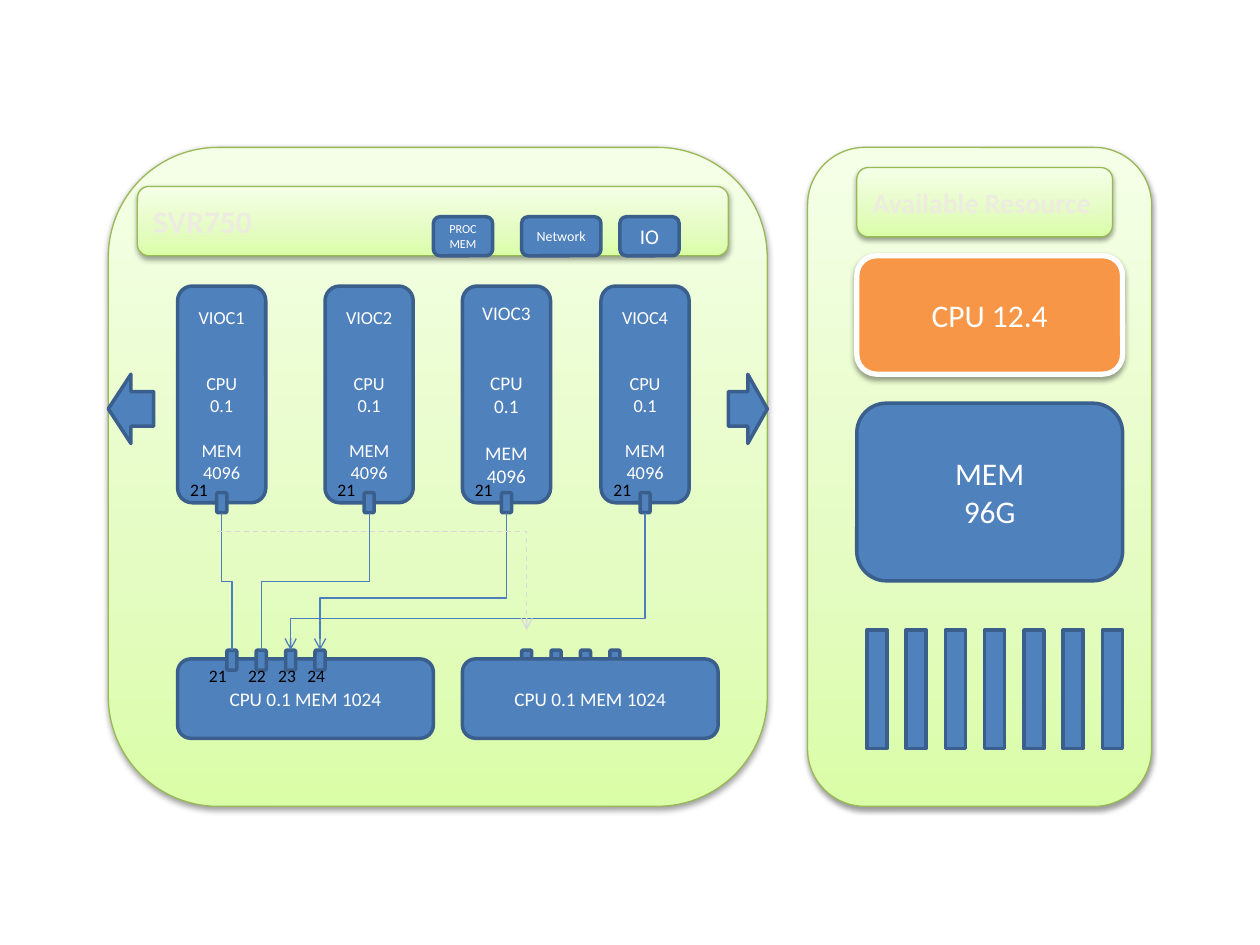
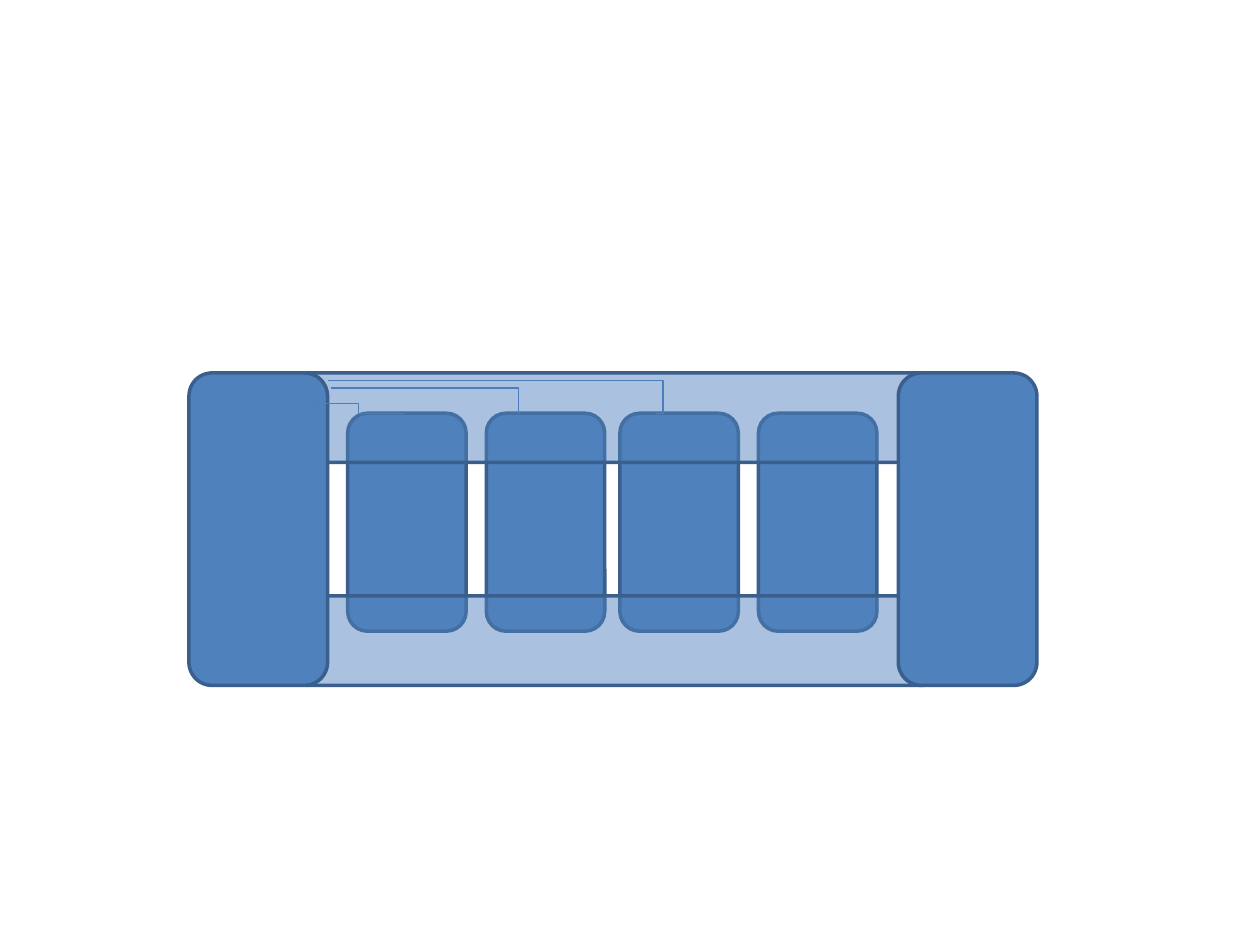
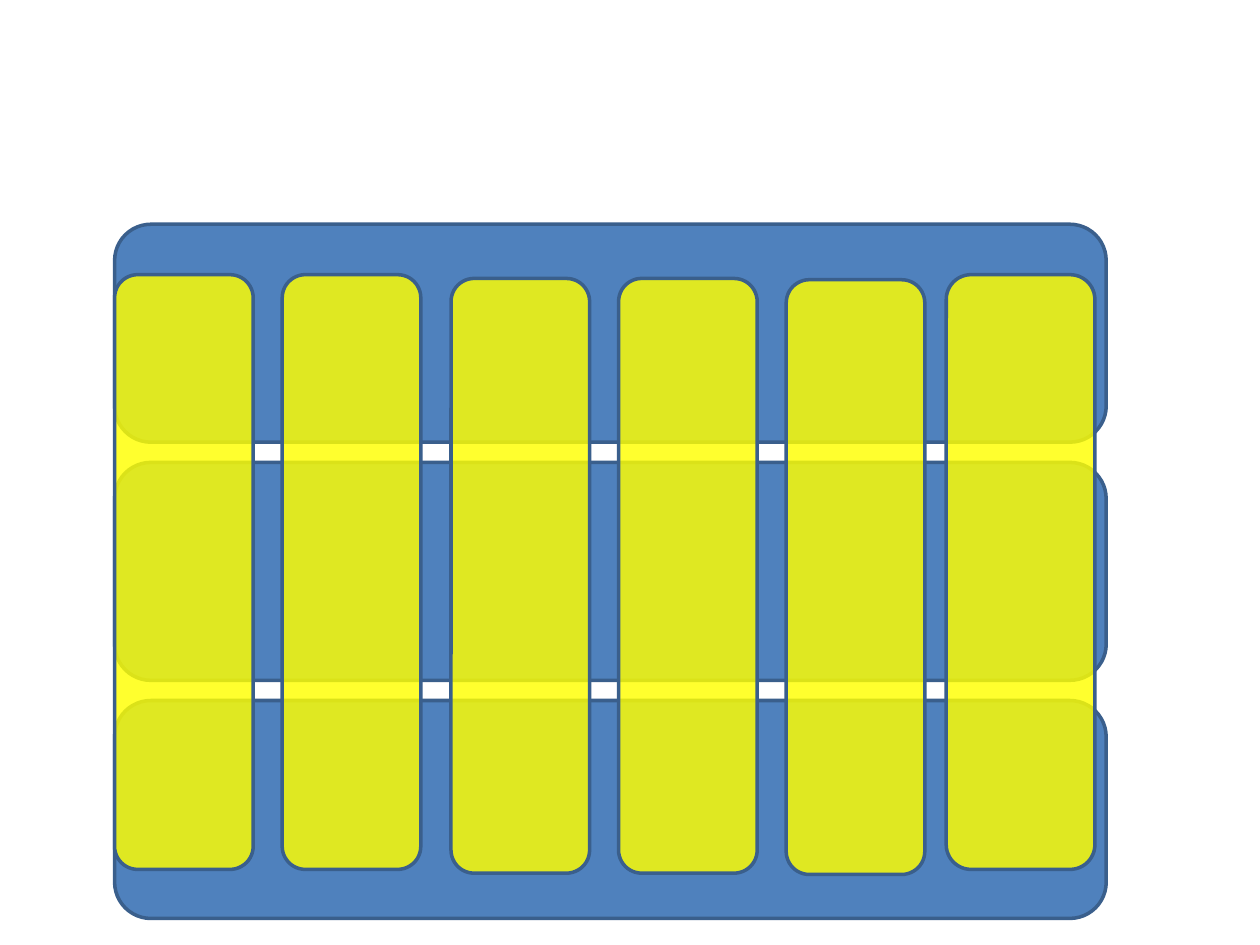
import copy

import lxml.etree
import pptx
import pptx.dml.color
import pptx.enum.dml
import pptx.enum.shapes
import pptx.enum.text
import pptx.oxml.ns
import pptx.util

Inches = pptx.util.Inches
Pt = pptx.util.Pt
RGBColor = pptx.dml.color.RGBColor
SHAPE = pptx.enum.shapes.MSO_SHAPE
ALIGN = pptx.enum.text.PP_ALIGN
qn = pptx.oxml.ns.qn

FONT = "Calibri"
BLUE = RGBColor(0x4F, 0x81, 0xBD)
DARK_BLUE = RGBColor(0x3A, 0x5F, 0x8C)
WIRE_BLUE = RGBColor(0x4B, 0x7E, 0xBC)
GREEN_LINE = RGBColor(0x98, 0xB9, 0x55)
ORANGE = RGBColor(0xF7, 0x96, 0x46)
YELLOW = RGBColor(0xFF, 0xFF, 0x00)
WHITE = RGBColor(0xFF, 0xFF, 0xFF)
BLACK = RGBColor(0x00, 0x00, 0x00)
CREAM = RGBColor(0xEE, 0xEC, 0xE1)
GRAY = RGBColor(0xD9, 0xD9, 0xD9)
GREEN_STOPS = [
    (0, RGBColor(0xDA, 0xFD, 0xA7)),
    (0.35, RGBColor(0xE4, 0xFC, 0xC2)),
    (1, RGBColor(0xF5, 0xFF, 0xE7)),
]

SERVER_PANEL = (0.86, 1.17, 5.23, 5.23)
SERVER_TITLE = ("SVR750", 18, (1.09, 1.48, 4.69, 0.55))
RESOURCE_PANEL = (6.41, 1.17, 2.73, 5.23)
RESOURCE_TITLE = ("Available Resource", 16, (6.8, 1.33, 2.03, 0.55))
CLIENTS = [
    ("VIOC1", 1.41, 10.5, ["CPU 0.1"]),
    ("VIOC2", 2.58, 10.5, ["CPU", "0.1"]),
    ("VIOC3", 3.67, 11, ["CPU", "0.1"]),
    ("VIOC4", 4.77, 10.5, ["CPU", "0.1"]),
]
CLIENT_MEMORY = "MEM 4096"
CLIENT_PORT = "21"
LINE_HEIGHT = 1.22
POOLS = [
    ("PROC MEM", 7, 3.44, 0.47),
    ("Network", 8, 4.14, 0.63),
    ("IO", 12, 4.92, 0.47),
]
HOST_TEXT = "CPU 0.1 MEM 1024"
HOST_LEFTS = [1.41, 3.67]
HOST_PORT_STARTS = [1.8, 4.14]
HOST_PORT_LABELS = [("21", 1.56), ("22", 1.87), ("23", 2.11), ("24", 2.34)]
PORT_SIZE = (0.08, 0.16)
PORT_STEP = 0.7 / 3
PORT_COUNT = 4
CLIENT_PORT_TOP = 3.91
HOST_PORT_TOP = 5.16
WIRES = [(0, 0, 0.5, False), (1, 1, 0.5, False), (2, 3, 0.62, True), (3, 2, 0.77, True)]
BAR_COUNT = 7
BAR_STEP = 1.87 / 6

INNER_LEFTS = [2.76, 3.86, 4.92, 6.02]
RAIL_TOPS = [2.96, 4.73]
END_LEFTS = [7.13, 1.5]
INNER_WIRES = [
    ((3.21, 3.28), (2.48, 3.2), 0.5),
    ((4.13, 3.28), (2.63, 3.08), 0.01),
    ((5.21, 3.28), (2.6, 3.02), -0.02),
]

ROW_COUNT = 3
ROW_TOP, ROW_STEP = 1.78, 1.89
COLUMNS = [
    (0.91, 2.18, 1.1),
    (7.51, 2.18, 1.18),
    (2.24, 2.18, 1.1),
    (3.58, 2.21, 1.1),
    (4.91, 2.21, 1.1),
    (6.24, 2.22, 1.1),
]


def add_child(parent, tag, **attributes):
    return lxml.etree.SubElement(parent, qn(tag), attributes)


def format_runs(paragraph, size, color, bold=False):
    for run in paragraph.runs:
        run.font.name = FONT
        run.font.size = Pt(size)
        run.font.color.rgb = color
        run.font.bold = bold


def add_box(slide, place, kind=SHAPE.ROUNDED_RECTANGLE, fill=BLUE, alpha=None,
            line=DARK_BLUE, width=2):
    shape = slide.shapes.add_shape(kind, *map(Inches, place))
    shape.shadow.inherit = False
    shape.fill.solid()
    shape.fill.fore_color.rgb = fill
    if alpha:
        color = shape._element.spPr.find(qn("a:solidFill"))[0]
        add_child(color, "a:alpha", val=str(alpha * 1000))
    shape.line.color.rgb = line
    shape.line.width = Pt(width)
    return shape


def add_text(shape, lines, size, color=WHITE, align=ALIGN.CENTER, bold=False):
    frame = shape.text_frame
    frame.word_wrap = True
    frame.text = "\n".join(lines)
    for paragraph in frame.paragraphs:
        paragraph.alignment = align
        format_runs(paragraph, size, color, bold)


def add_shadow(shape):
    effects = shape._element.spPr.find(qn("a:effectLst"))
    shadow = add_child(effects, "a:outerShdw", blurRad="40000", dist="20000",
                       dir="5400000", rotWithShape="0")
    color = add_child(shadow, "a:srgbClr", val="000000")
    add_child(color, "a:alpha", val="38000")


def add_green_panel(slide, place):
    shape = add_box(slide, place, line=GREEN_LINE, width=0.75)
    shape.fill.gradient()
    shape.fill.gradient_angle = 90
    stops = shape._element.spPr.find(qn("a:gradFill")).find(qn("a:gsLst"))
    stops.append(copy.deepcopy(stops[0]))
    for stop, (position, color) in zip(shape.fill.gradient_stops, GREEN_STOPS):
        stop.position = position
        stop.color.rgb = color
    add_shadow(shape)
    return shape


def add_title_panel(slide, title, size, place):
    add_text(add_green_panel(slide, place), [title], size, CREAM, ALIGN.LEFT, True)


def add_label(slide, text, left, top):
    label = slide.shapes.add_textbox(*map(Inches, (left, top, 0.39, 0.27)))
    add_text(label, [text], 10, BLACK, ALIGN.LEFT)


def add_elbow(slide, start, end, bend=None, color=WIRE_BLUE, arrow=False):
    connector = slide.shapes.add_connector(
        pptx.enum.shapes.MSO_CONNECTOR.ELBOW, *map(Inches, start + end))
    connector.line.color.rgb = color
    connector.line.width = Pt(0.75)
    properties = connector._element.spPr
    if arrow:
        add_child(connector.line._get_or_add_ln(), "a:tailEnd", type="arrow")
    if bend is not None:
        geometry = properties.find(qn("a:prstGeom"))
        guides = geometry.find(qn("a:avLst"))
        if guides is None:
            guides = add_child(geometry, "a:avLst")
        add_child(guides, "a:gd", name="adj1", fmla=f"val {round(bend * 100000)}")
    add_child(properties, "a:effectLst")
    return connector


def add_vertical_elbow(slide, start, end, bend, arrow):
    across, down = end[0] - start[0], end[1] - start[1]
    middle_x, middle_y = (start[0] + end[0]) / 2, (start[1] + end[1]) / 2
    left, top = middle_x - down / 2, middle_y - abs(across) / 2
    connector = add_elbow(slide, (left, top), (left + down, top + abs(across)),
                          bend, arrow=arrow)
    transform = connector._element.spPr.find(qn("a:xfrm"))
    if across > 0:
        transform.set("rot", "16200000")
        transform.set("flipH", "1")
    else:
        transform.set("rot", "5400000")


def add_client(slide, name, left, size, cpu_lines):
    box = add_box(slide, (left, 2.27, 0.7, 1.72))
    add_text(box, [name, *cpu_lines, CLIENT_MEMORY], size)
    paragraphs = box.text_frame.paragraphs
    paragraphs[1].space_before = Pt(2 * LINE_HEIGHT * size)
    paragraphs[-1].space_before = Pt(LINE_HEIGHT * size)


def add_host(slide, left):
    add_text(add_box(slide, (left, 5.23, 2.03, 0.63)), [HOST_TEXT], 11)


def build_server_slide(slide):
    add_green_panel(slide, SERVER_PANEL)
    add_title_panel(slide, *SERVER_TITLE)
    for client in CLIENTS:
        add_client(slide, *client)
    for text, size, left, width in POOLS:
        add_text(add_box(slide, (left, 1.72, width, 0.31)), [text], size)

    add_host(slide, HOST_LEFTS[0])
    host_ports = [start + i * PORT_STEP for start in HOST_PORT_STARTS for i in range(PORT_COUNT)]
    client_ports = [left + 0.31 for _, left, _, _ in CLIENTS]
    for lefts, top in ((host_ports, HOST_PORT_TOP), (client_ports, CLIENT_PORT_TOP)):
        for left in lefts:
            add_box(slide, (left, top, *PORT_SIZE))
    port_width, port_height = PORT_SIZE
    for client, port, bend, arrow in WIRES:
        start = (client_ports[client] + port_width / 2, CLIENT_PORT_TOP + port_height)
        end = (host_ports[port] + port_width / 2, HOST_PORT_TOP)
        add_vertical_elbow(slide, start, end, bend, arrow)
    add_host(slide, HOST_LEFTS[1])

    standby = add_elbow(slide, (1.72, 4.22), (4.18, 5), color=GRAY, arrow=True)
    standby.line.dash_style = pptx.enum.dml.MSO_LINE.DASH
    standby._element.spPr.find(qn("a:prstGeom")).set("prst", "bentConnector2")

    for text, left in HOST_PORT_LABELS:
        add_label(slide, text, left, 5.23)
    for _, left, _, _ in CLIENTS:
        add_label(slide, CLIENT_PORT, left, 3.75)
    add_box(slide, (0.86, 2.97, 0.36, 0.55), SHAPE.LEFT_ARROW)
    add_box(slide, (5.78, 2.97, 0.31, 0.55), SHAPE.RIGHT_ARROW)

    add_green_panel(slide, RESOURCE_PANEL)
    cpu = add_box(slide, (6.8, 2.03, 2.11, 0.94), fill=ORANGE, line=WHITE, width=3)
    add_shadow(cpu)
    add_text(cpu, ["CPU 12.4"], 18)
    add_text(add_box(slide, (6.8, 3.2, 2.11, 1.41)), ["MEM", "96G"], 18)
    add_title_panel(slide, *RESOURCE_TITLE)
    for i in range(BAR_COUNT):
        add_box(slide, (6.88 + i * BAR_STEP, 5, 0.16, 0.94), SHAPE.RECTANGLE)


def build_rail_slide(slide):
    for left in INNER_LEFTS:
        add_box(slide, (left, 3.28, 0.94, 1.73))
    for top in RAIL_TOPS:
        add_box(slide, (2.32, top, 5.12, 0.71), alpha=48)
    for left in END_LEFTS:
        add_box(slide, (left, 2.96, 1.1, 2.48))
    for start, end, bend in INNER_WIRES:
        add_elbow(slide, start, end, bend)


def build_grid_slide(slide):
    for i in range(ROW_COUNT):
        add_box(slide, (0.91, ROW_TOP + i * ROW_STEP, 7.87, 1.73))
    for left, top, width in COLUMNS:
        add_box(slide, (left, top, width, 4.72), fill=YELLOW, alpha=82)


def main():
    presentation = pptx.Presentation()
    presentation.slide_width = Inches(10)
    presentation.slide_height = Inches(7.5)
    for build in (build_server_slide, build_rail_slide, build_grid_slide):
        build(presentation.slides.add_slide(presentation.slide_layouts[6]))
    presentation.save("out.pptx")


if __name__ == "__main__":
    main()
